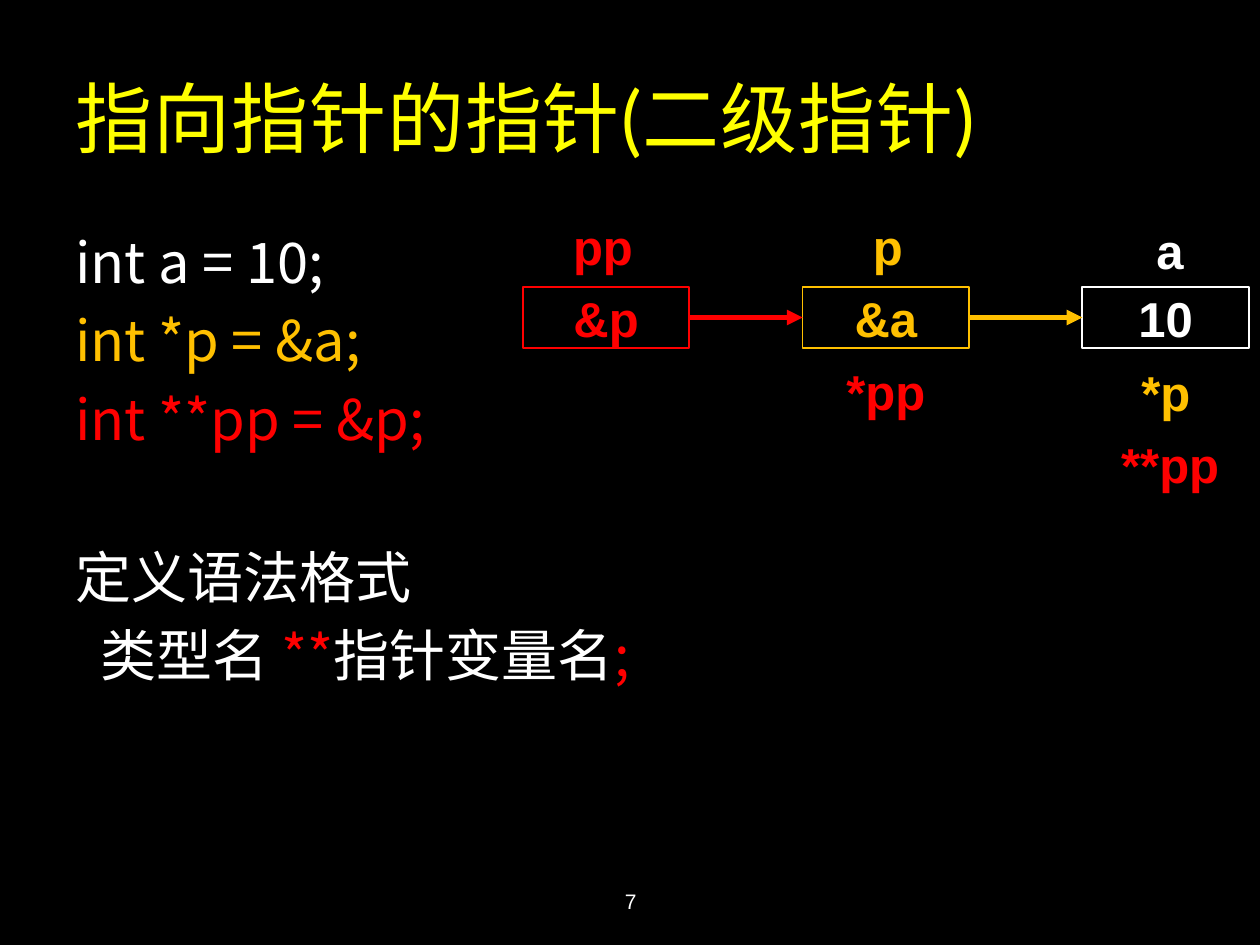
from lxml import etree
from pptx import Presentation
from pptx import util as u
from pptx.dml.color import RGBColor
from pptx.enum import shapes, text
from pptx.oxml.ns import qn

BLACK = RGBColor(0, 0, 0)
WHITE = RGBColor(255, 255, 255)
YELLOW = RGBColor(255, 255, 0)
AMBER = RGBColor(255, 192, 0)
RED = RGBColor(255, 0, 0)

CJK_FONT = "Noto Sans CJK SC"
BOX_LEFT, BOX_TOP, BOX_PITCH = 4.15, 2.28, 2.22
BOX_WIDTH, BOX_HEIGHT = 1.32, 0.48


def place(shape, left, top, width, height):
    shape.left, shape.top = u.Inches(left), u.Inches(top)
    shape.width, shape.height = u.Inches(width), u.Inches(height)


def add_run(paragraph, content, size=28, font="Arial", color=WHITE, bold=False, spacing=None):
    run = paragraph.add_run()
    run.text = content
    run.font.size = u.Pt(size)
    run.font.name = font
    run.font.bold = bold
    run.font.color.rgb = color
    properties = run.font._element
    etree.SubElement(properties, qn("a:ea"), typeface=CJK_FONT)
    if spacing is not None:
        properties.set("spc", str(int(spacing * 100)))


def write_text(shape, content, wrap=False, anchor=text.MSO_ANCHOR.TOP,
               align=text.PP_ALIGN.LEFT, **run_format):
    frame = shape.text_frame
    frame.word_wrap = wrap
    frame.vertical_anchor = anchor
    paragraph = frame.paragraphs[0]
    paragraph.alignment = align
    add_run(paragraph, content, **run_format)


def add_label(slide, content, left, top, width, height=0.57, **text_format):
    label = slide.shapes.add_textbox(*map(u.Inches, (left, top, width, height)))
    write_text(label, content, **text_format)


def add_title(slide, content):
    title = slide.shapes.title
    place(title, 0.5, 0.3, 8.5, 1.25)
    write_text(title, content, wrap=True, anchor=text.MSO_ANCHOR.MIDDLE,
               size=44, font="Lato", color=YELLOW, spacing=0.5)


def add_code(slide, lines):
    box = slide.shapes.add_textbox(*map(u.Inches, (0.5, 1.75, 9, 4.95)))
    frame = box.text_frame
    frame.word_wrap = True
    for index, (space_before, indent, runs) in enumerate(lines):
        paragraph = frame.paragraphs[0] if index == 0 else frame.add_paragraph()
        paragraph.line_spacing = u.Pt(38.6)
        paragraph.space_before = u.Pt(space_before)
        paragraph._p.get_or_add_pPr().set("marL", str(u.Inches(indent)))
        for content, color in runs:
            add_run(paragraph, content, size=32, font=CJK_FONT, color=color)


def add_memory_box(slide, index, content, color):
    left = BOX_LEFT + index * BOX_PITCH
    box = slide.shapes.add_shape(
        shapes.MSO_SHAPE.RECTANGLE,
        *map(u.Inches, (left, BOX_TOP, BOX_WIDTH, BOX_HEIGHT)))
    box.shadow.inherit = False
    box.fill.background()
    box.line.color.rgb = color
    box.line.width = u.Pt(1)
    write_text(box, content, anchor=text.MSO_ANCHOR.MIDDLE,
               align=text.PP_ALIGN.CENTER, color=color, bold=True)
    return box


def add_arrow(slide, source, target, color):
    arrow = slide.shapes.add_connector(shapes.MSO_CONNECTOR.STRAIGHT, 0, 0, 0, 0)
    arrow.begin_connect(source, 3)
    arrow.end_connect(target, 1)
    arrow.line.color.rgb = color
    arrow.line.width = u.Pt(3)
    etree.SubElement(arrow.line._get_or_add_ln(), qn("a:tailEnd"), type="triangle")
    etree.SubElement(arrow._element.spPr, qn("a:effectLst"))


def main():
    presentation = Presentation()
    presentation.slide_width, presentation.slide_height = u.Inches(10), u.Inches(7.5)
    slide = presentation.slides.add_slide(presentation.slide_layouts[5])
    slide.background.fill.solid()
    slide.background.fill.fore_color.rgb = BLACK

    add_title(slide, "指向指针的指针(二级指针)")
    add_code(slide, [
        (6.4, 0, [("int a = 10;", WHITE)]),
        (6.4, 0, [("int *p = &a;", AMBER)]),
        (6.4, 0, [("int **pp = &p;", RED)]),
        (51.4, 0, [("定义语法格式", WHITE)]),
        (6.4, 0.2, [("类型名 ", WHITE), ("**", RED), ("指针变量名", WHITE), (";", RED)]),
    ])

    cells = [("&p", RED), ("&a", AMBER), ("10", WHITE)]
    boxes = [add_memory_box(slide, index, *cell) for index, cell in enumerate(cells)]
    for source, target, (_, color) in zip(boxes, boxes[1:], cells):
        add_arrow(slide, source, target, color)

    for content, left, top, width, color in [
        ("pp", 4.45, 1.67, 0.68, RED),
        ("p", 6.83, 1.67, 0.44, AMBER),
        ("a", 9.08, 1.7, 0.42, WHITE),
        ("*pp", 6.62, 2.82, 0.84, RED),
        ("*p", 8.96, 2.83, 0.59, AMBER),
        ("**pp", 8.8, 3.4, 0.99, RED),
    ]:
        add_label(slide, content, left, top, width, color=color, bold=True)

    add_label(slide, "7", 3.42, 6.95, 3.17, 0.4, wrap=True, size=12,
              anchor=text.MSO_ANCHOR.MIDDLE, align=text.PP_ALIGN.CENTER)
    presentation.save("out.pptx")


if __name__ == "__main__":
    main()
